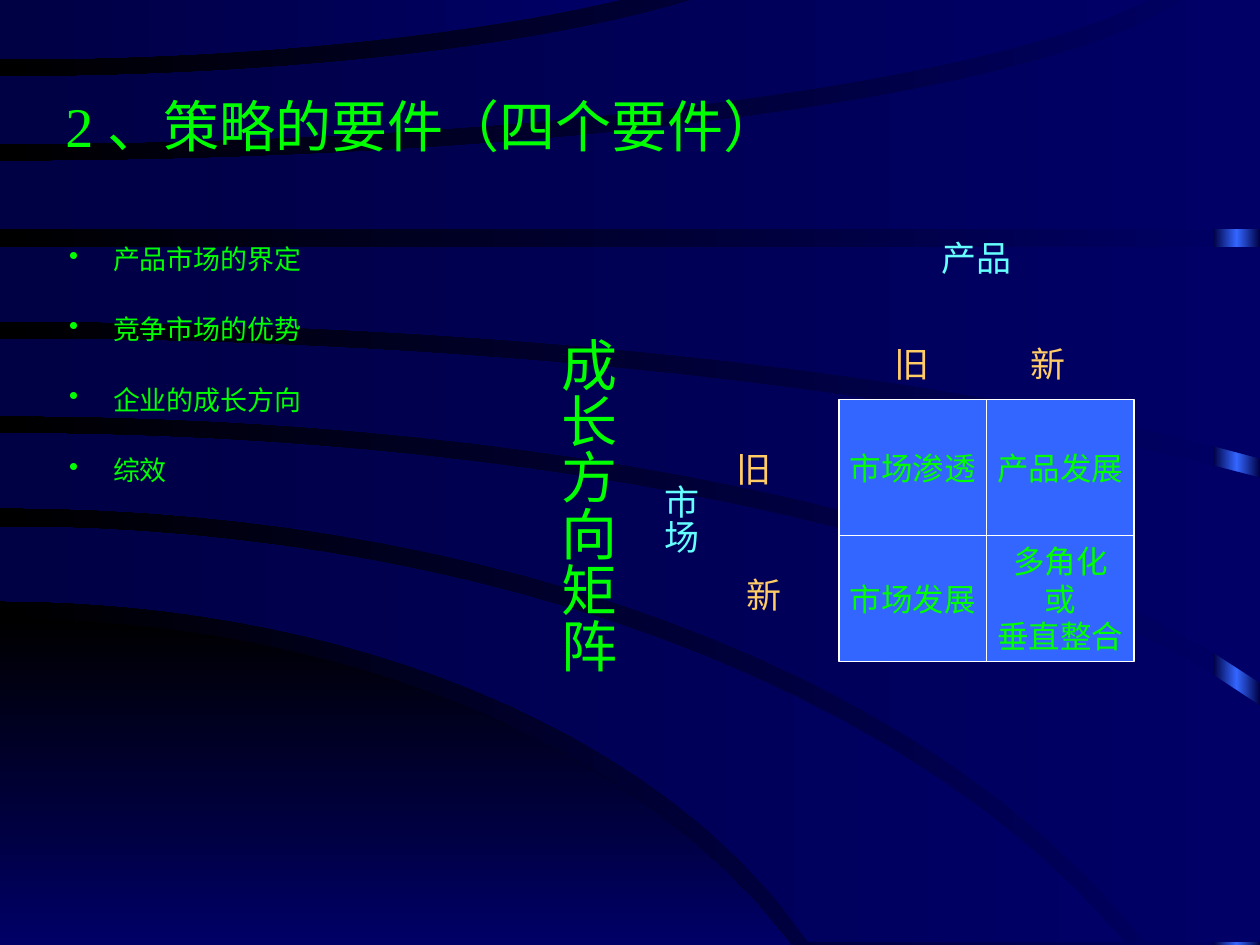
from copy import deepcopy
from math import sqrt

from pptx import Presentation
from pptx.dml.color import RGBColor
from pptx.enum.shapes import MSO_SHAPE as SHAPE
from pptx.enum.text import MSO_ANCHOR as ANCHOR, PP_ALIGN as ALIGN
from pptx.oxml.ns import qn
from pptx.util import Inches, Pt

FONT = "Times New Roman"
NAVY, DEEP, BLACK, BLUE = "000066", "000044", "000000", "3366FF"
GREEN, CYAN, ORANGE, WHITE = "00FF00", "66FFFF", "FFCC66", "FFFFFF"

# Elliptical edges: height at the left side, end x, end y, horizontal radius
HILL = [(4.91, 6.28, 7.5, 7), (7.5, 6.28, 7.5, 7)]
# Each band: upper edge, lower edge, extra corners at its right end
BANDS = [
    ((4.18, 8.93, 7.48, 10), (4.77, 6.42, 7.48, 7), []),
    ((3.44, 10, 5.6, 11), (4.03, 9.09, 7.48, 10), [(10, 7.48)]),
    ((2.69, 10, 3.79, 14), (3.3, 10, 5.42, 11), []),
    ((1.96, 10, 1.96, 13), (2.55, 10, 3.64, 13), []),
    ((1.28, 9.43, -0.02, 9.7), (1.82, 10, 1.82, 13), [(10, -0.02)]),
    ((0.61, 5.56, -0.02, 6.7), (1.14, 9.17, -0.02, 9.7), []),
    ((-0.02, 5.01, -0.02, 7), (0.47, 5.01, -0.02, 7), []),
]


def rgb(color):
    return RGBColor.from_string(color)


def set_gradient(fill, first, last, angle=180):
    fill.gradient()
    fill.gradient_angle = angle
    for stop, color, position in zip(fill.gradient_stops, (first, last), (0, 1)):
        stop.color.rgb = rgb(color)
        stop.position = position


def edge_points(start_y, end_x, end_y, radius, steps=24):
    def sag(x):
        return 1 - sqrt(1 - (x / radius) ** 2)

    scale = (end_y - start_y) / sag(end_x)
    xs = [end_x * step / steps for step in range(steps + 1)]
    return [(x, start_y + scale * sag(x)) for x in xs]


def add_arch(slide, upper, lower, corners, first, last, angle=180):
    outline = edge_points(*upper) + corners + edge_points(*lower)[::-1]
    points = [(Inches(x), Inches(y)) for x, y in outline]
    builder = slide.shapes.build_freeform(*points[0])
    builder.add_line_segments(points[1:], close=True)
    arch = builder.convert_to_shape()
    arch.shadow.inherit = False
    arch.line.fill.background()
    set_gradient(arch.fill, first, last, angle)


def add_edge_strip(slide):
    strip = slide.shapes.add_shape(SHAPE.RECTANGLE, Inches(9.63), 0,
                                   Inches(0.37), Inches(7.5))
    strip.shadow.inherit = False
    strip.line.fill.background()
    set_gradient(strip.fill, DEEP, DEEP)
    # Third stop: the bright middle
    last_stop = strip._element.spPr.find(".//" + qn("a:gs") + "[2]")
    last_stop.addprevious(deepcopy(last_stop))
    middle = strip.fill.gradient_stops[1]
    middle.position = 0.5
    middle.color.rgb = rgb(BLUE)


def write_lines(frame, text, size, color, align=ALIGN.LEFT):
    frame.text = text
    for paragraph in frame.paragraphs:
        paragraph.alignment = align
        for run in paragraph.runs:
            run.font.name = FONT
            run.font.size = Pt(size)
            run.font.color.rgb = rgb(color)


def add_label(slide, text, left, top, width, height, size, color):
    label = slide.shapes.add_textbox(*map(Inches, (left, top, width, height)))
    label.text_frame.word_wrap = True
    write_lines(label.text_frame, text, size, color)
    return label.text_frame


def add_vertical_label(slide, text, left, top, width, height, size, color):
    frame = add_label(slide, text, left, top, width, height, size, color)
    frame._txBody.bodyPr.set("vert", "eaVert")
    frame.margin_left = frame.margin_right = Inches(0.05)
    frame.margin_top = frame.margin_bottom = Inches(0.1)
    frame.paragraphs[0].alignment = ALIGN.CENTER


def add_bullets(slide, items):
    frame = add_label(slide, "\n".join(items), 0.33, 1.67, 4.17, 2.17, 15.4, GREEN)
    for index, paragraph in enumerate(frame.paragraphs):
        paragraph.line_spacing = 1.8
        paragraph.space_before = Pt(7 if index else 0)
        properties = paragraph._p.get_or_add_pPr()
        properties.set("marL", str(Inches(0.47)))
        properties.set("indent", str(Inches(-0.35)))
        bullet = properties.makeelement(qn("a:buChar"), {"char": "•"})
        properties.append(bullet)


def add_matrix(slide, rows):
    width, top = 1.17, 3.17
    for height, names in rows:
        for column, name in enumerate(names):
            cell = slide.shapes.add_shape(
                SHAPE.RECTANGLE, Inches(6.66 + column * width), Inches(top),
                Inches(width), Inches(height))
            cell.shadow.inherit = False
            cell.fill.solid()
            cell.fill.fore_color.rgb = rgb(BLUE)
            cell.line.color.rgb = rgb(WHITE)
            cell.line.width = Pt(0.75)
            cell.text_frame.word_wrap = False
            cell.text_frame.vertical_anchor = ANCHOR.MIDDLE
            write_lines(cell.text_frame, name, 18, GREEN, ALIGN.CENTER)
        top += height


def main():
    deck = Presentation()
    deck.slide_width, deck.slide_height = Inches(10), Inches(7.5)
    slide = deck.slides.add_slide(deck.slide_layouts[6])

    # Background
    set_gradient(slide.background.fill, NAVY, BLACK)
    add_edge_strip(slide)
    add_arch(slide, *HILL, [], BLACK, NAVY, angle=270)
    for upper, lower, corners in BANDS:
        add_arch(slide, upper, lower, corners, NAVY, DEEP)

    # Title and list
    title = add_label(slide, "2 、策略的要件（四个要件）", 0.42, 0.58, 6, 0.83, 32, GREEN)
    title.vertical_anchor = ANCHOR.MIDDLE
    add_bullets(slide, ["产品市场的界定", "竞争市场的优势", "企业的成长方向", "综效"])

    # Growth matrix
    add_matrix(slide, [(1.08, ["市场渗透", "产品发展"]),
                       (1, ["市场发展", "多角化\n或\n垂直整合"])])

    # Axis names and their old/new marks
    add_label(slide, "产品", 7.37, 1.83, 1.05, 0.44, 20, CYAN)
    add_vertical_label(slide, "市场", 5.09, 3.75, 0.53, 1, 20, CYAN)
    for mark, left, top in [("旧", 7, 2.67), ("新", 8.08, 2.67),
                            ("旧", 5.75, 3.5), ("新", 5.83, 4.5)]:
        add_label(slide, mark, left, top, 0.58, 0.44, 20, ORANGE)
    add_vertical_label(slide, "成长方向矩阵", 4.25, 2.58, 0.73, 3.33, 32, GREEN)

    deck.save("out.pptx")


if __name__ == "__main__":
    main()
